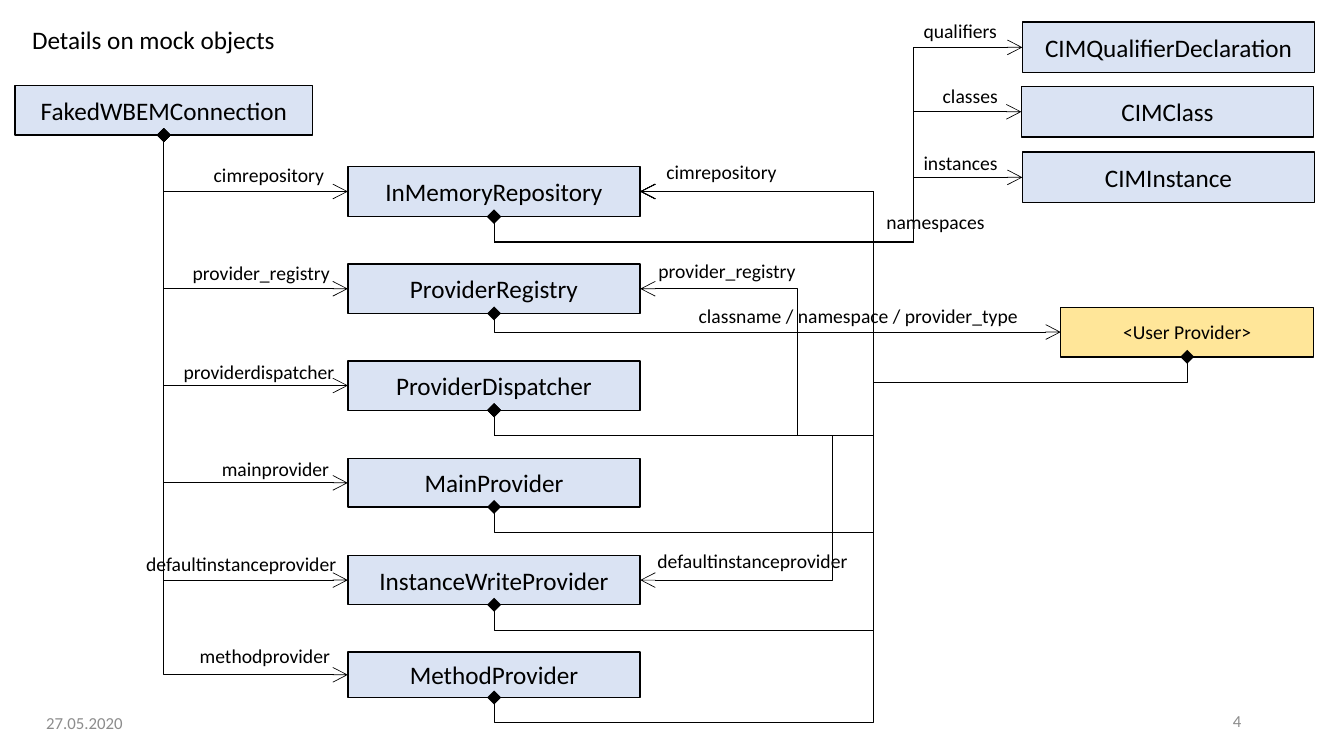
from lxml import etree
from pptx import Presentation
from pptx.dml.color import RGBColor
from pptx.enum.shapes import MSO_CONNECTOR, MSO_SHAPE
from pptx.enum.text import MSO_ANCHOR, PP_ALIGN
from pptx.oxml.ns import qn
from pptx.util import Inches, Pt

COLORS = {"black": "000000", "blue": "DAE3F3", "yellow": "FFE699", "gray": "8C8C8C"}
DROP = Inches(0.25)  # how far a line runs below its box before turning


def set_text(shape, text, size, color="black", align=PP_ALIGN.LEFT, anchor=MSO_ANCHOR.TOP):
    tf = shape.text_frame
    tf.vertical_anchor = anchor
    p = tf.paragraphs[0]
    p.text = text
    p.alignment = align
    p.font.size = Pt(size)
    p.font.name = "Calibri"
    p.font.color.rgb = RGBColor.from_string(COLORS[color])
    return tf


def link(owner, target, lane=None):
    """Elbow from the bottom of owner to a side of target, by way of a vertical lane if given."""
    x0, y0 = owner.left + owner.width // 2, owner.top + owner.height
    turn = Inches(lane) if lane else x0
    from_right = turn > target.left + target.width
    x1 = target.left + (target.width if from_right else 0)
    y1 = target.top + target.height // 2
    dx, dy = x1 - x0, y1 - y0

    c = s.shapes.add_connector(MSO_CONNECTOR.ELBOW, x0, y0, x1, y1)
    c.begin_connect(owner, 2)
    c.end_connect(target, 3 if from_right else 1)
    c.line.width = Pt(0.5)
    c.line.color.rgb = RGBColor.from_string(COLORS["black"])

    # The elbow starts downwards, so its frame is turned by a quarter
    c.width, c.height = abs(dy), abs(dx)
    c.left, c.top = (x0 + x1 - abs(dy)) // 2, (y0 + y1 - abs(dx)) // 2
    sp_pr = c._element.spPr
    xfrm = sp_pr.find(qn("a:xfrm"))
    xfrm.set("rot", str((270 if dy > 0 else 90) * 60000))
    xfrm.set("flipH", "1")
    xfrm.set("flipV", "1" if (dx > 0) != (dy > 0) else "0")
    geom = sp_pr.find(qn("a:prstGeom"))
    geom.set("prst", "bentConnector4" if lane else "bentConnector2")
    if lane:
        guides = geom.find(qn("a:avLst"))
        if guides is None:
            guides = etree.SubElement(geom, qn("a:avLst"))
        for name, ratio in (("adj1", DROP / dy), ("adj2", (turn - x0) / dx)):
            etree.SubElement(guides, qn("a:gd"), name=name, fmla=f"val {round(ratio * 100000)}")
    ln = sp_pr.find(qn("a:ln"))
    etree.SubElement(ln, qn("a:headEnd"), type="diamond", w="lg", len="lg")
    etree.SubElement(ln, qn("a:tailEnd"), type="arrow", w="lg", len="lg")
    etree.SubElement(sp_pr, qn("a:effectLst"))


prs = Presentation()
prs.slide_width, prs.slide_height = Inches(13.33), Inches(7.5)
s = prs.slides.add_slide(prs.slide_layouts[6])

# Class boxes: name, left, top, width, height
boxes = {}
for name, x, y, w, h in [
    ("FakedWBEMConnection", 0.15, 0.85, 2.95, 0.49),
    ("InMemoryRepository", 3.45, 1.65, 2.9, 0.5),
    ("ProviderRegistry", 3.45, 2.62, 2.9, 0.49),
    ("ProviderDispatcher", 3.45, 3.58, 2.9, 0.49),
    ("MainProvider", 3.45, 4.55, 2.9, 0.48),
    ("InstanceWriteProvider", 3.45, 5.51, 2.9, 0.49),
    ("MethodProvider", 3.45, 6.47, 2.9, 0.45),
    ("CIMQualifierDeclaration", 10.14, 0.22, 2.9, 0.5),
    ("CIMClass", 10.13, 0.86, 2.9, 0.5),
    ("CIMInstance", 10.14, 1.51, 2.9, 0.5),
    ("<User Provider>", 10.52, 3.05, 2.51, 0.49),
]:
    user = name == "<User Provider>"
    sp = s.shapes.add_shape(MSO_SHAPE.RECTANGLE, Inches(x), Inches(y), Inches(w), Inches(h))
    sp.shadow.inherit = False
    sp.fill.solid()
    sp.fill.fore_color.rgb = RGBColor.from_string(COLORS["yellow" if user else "blue"])
    sp.line.color.rgb = RGBColor.from_string(COLORS["black"])
    sp.line.width = Pt(1)
    set_text(sp, name, 14 if user else 18, align=PP_ALIGN.CENTER, anchor=MSO_ANCHOR.MIDDLE)
    boxes[name] = sp

# Lines: owner, target, x of the vertical lane
members = ["InMemoryRepository", "ProviderRegistry", "ProviderDispatcher",
           "MainProvider", "InstanceWriteProvider", "MethodProvider"]
links = [("FakedWBEMConnection", member, None) for member in members]
links += [("InMemoryRepository", cim, 9.06)
          for cim in ("CIMQualifierDeclaration", "CIMClass", "CIMInstance")]
links += [(owner, "InMemoryRepository", 8.66) for owner in members[2:] + ["<User Provider>"]]
links += [
    ("ProviderRegistry", "<User Provider>", None),
    ("ProviderDispatcher", "ProviderRegistry", 7.91),
    ("ProviderDispatcher", "InstanceWriteProvider", 8.26),
]
for owner, target, lane in links:
    link(boxes[owner], boxes[target], lane)

# Role names on the lines
for text, x, y, w in [
    ("cimrepository", 2.12, 1.62, 1.1),
    ("provider_registry", 1.91, 2.59, 1.38),
    ("providerdispatcher", 1.82, 3.57, 1.51),
    ("mainprovider", 2.2, 4.53, 1.08),
    ("defaultinstanceprovider", 1.45, 5.48, 1.91),
    ("methodprovider", 1.98, 6.39, 1.31),
    ("cimrepository", 6.61, 1.59, 1.1),
    ("provider_registry", 6.53, 2.57, 1.38),
    ("defaultinstanceprovider", 6.52, 5.45, 1.91),
    ("qualifiers", 9.16, 0.19, 0.74),
    ("classes", 9.35, 0.83, 0.55),
    ("instances", 9.16, 1.5, 0.74),
    ("namespaces", 8.79, 2.08, 0.99),
    ("classname / namespace / provider_type", 6.93, 3.02, 3.2),
]:
    label = s.shapes.add_textbox(Inches(x), Inches(y), Inches(w), Inches(0.24))
    tf = set_text(label, text, 14)
    tf.word_wrap = False
    tf.margin_left = tf.margin_top = tf.margin_right = tf.margin_bottom = 0

# Heading, date and slide number
heading = s.shapes.add_textbox(Inches(0.22), Inches(0.19), Inches(2.64), Inches(0.4))
set_text(heading, "Details on mock objects", 18).word_wrap = False
for text, x, y, w, align in [
    ("27.05.2020", 0.36, 6.97, 3, PP_ALIGN.LEFT),
    ("4", 11.49, 6.95, 0.92, PP_ALIGN.RIGHT),
]:
    footer = s.shapes.add_textbox(Inches(x), Inches(y), Inches(w), Inches(0.4))
    set_text(footer, text, 12, "gray", align, MSO_ANCHOR.MIDDLE).word_wrap = True

prs.save("out.pptx")
